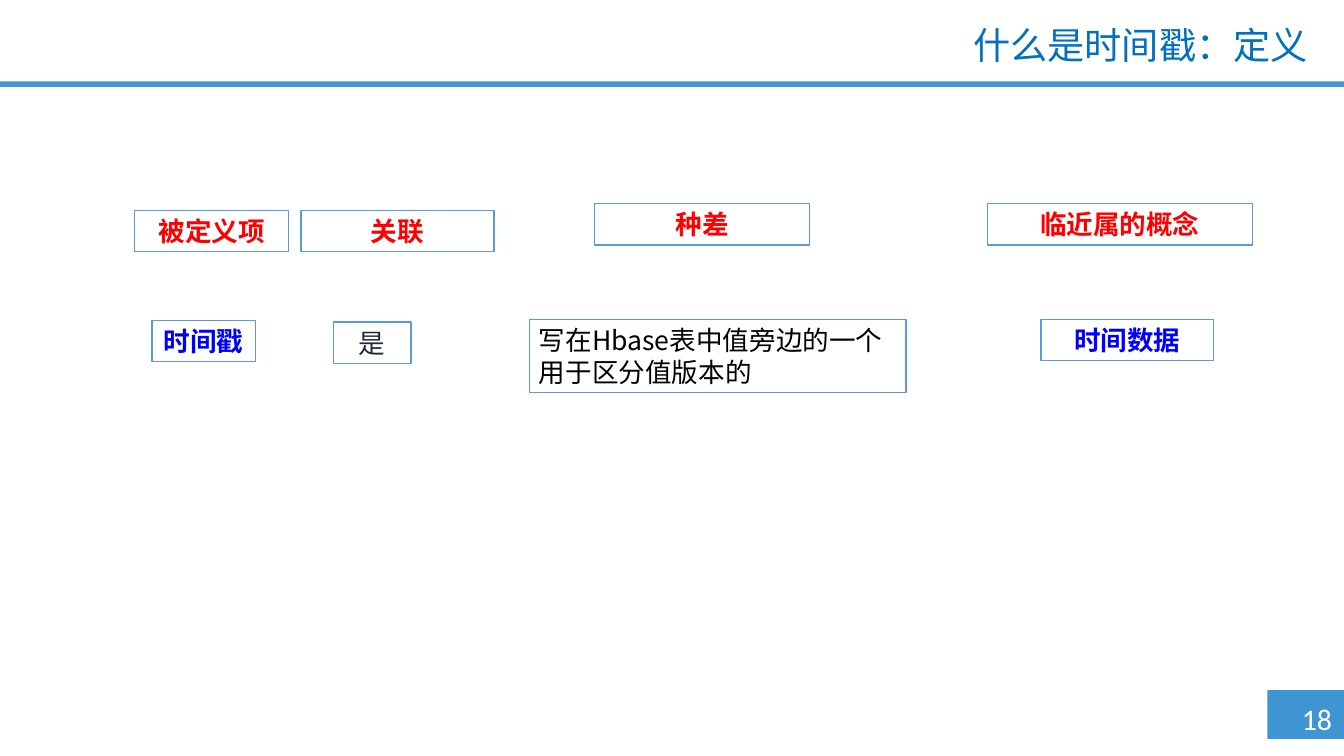
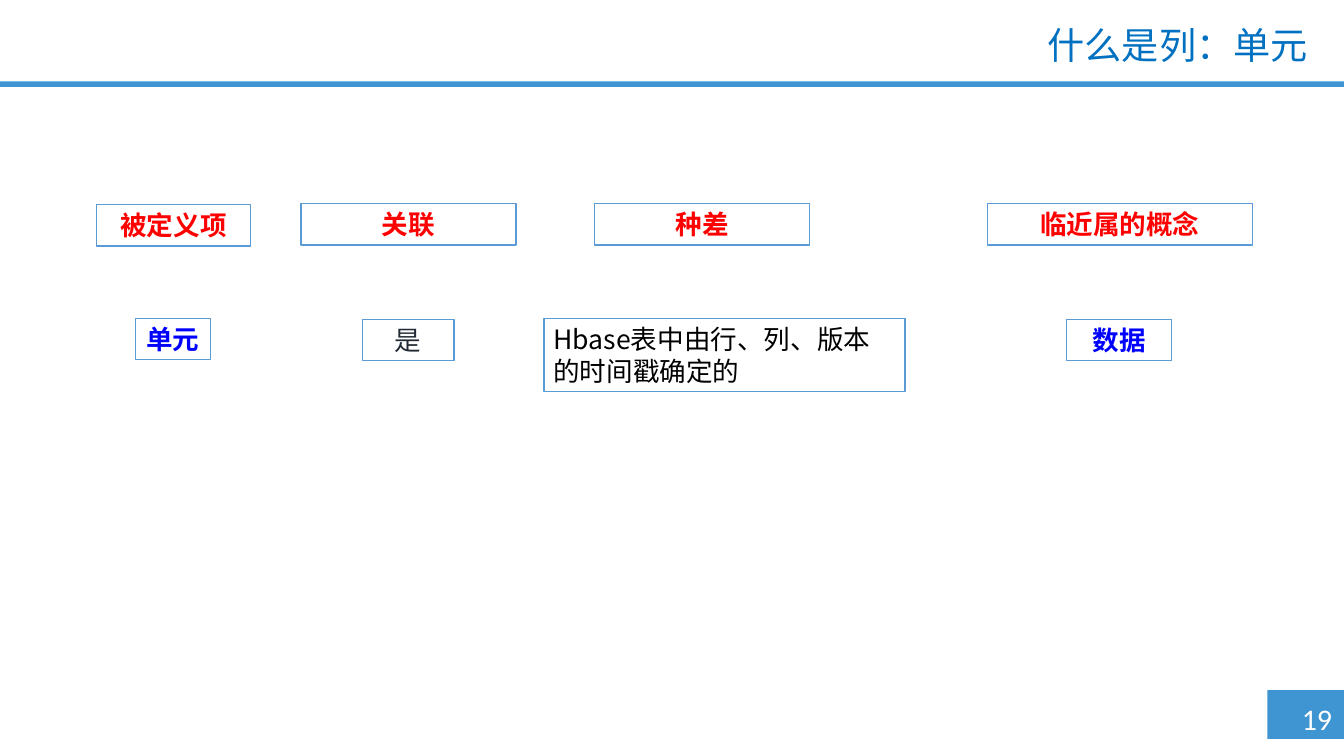
from lxml import etree
from pptx import Presentation
from pptx import util as u
from pptx.dml.color import RGBColor
from pptx.enum import shapes, text
from pptx.oxml.ns import qn

WIDTH, HEIGHT = u.Inches(14.06), u.Inches(7.91)
FIRST_NUMBER = 18
CJK_FONT, NUMBER_FONT = "Noto Sans CJK SC", "Calibri"
WHITE = RGBColor(0xFF, 0xFF, 0xFF)
BLACK = RGBColor(0, 0, 0)
BAND_BLUE = RGBColor(0x3F, 0x95, 0xD2)
FRAME_BLUE = RGBColor(0x5B, 0x9B, 0xD5)
TITLE_BLUE = RGBColor(0x00, 0x70, 0xC0)
HEADING_RED = RGBColor(0xFF, 0, 0)
TERM_BLUE = RGBColor(0, 0, 0xFF)
LINK_DARK = RGBColor(0x22, 0x2A, 0x35)

LINE_HEIGHT = u.Pt(24)
PADDING = u.Inches(0.05)

HEADINGS = ["被定义项", "关联", "种差", "临近属的概念"]
TERM_STYLES = [(TERM_BLUE, True), (LINK_DARK, False), (BLACK, False), (TERM_BLUE, True)]
LINE_COUNTS = [1, 1, 2, 1]

# Places are (left, top, width) in percent of the slide's size.
DEFINITIONS = [
    {
        "title": "什么是时间戳：定义",
        "heading_places": [(10.03, 27.81, 11.45), (22.4, 27.81, 14.37),
                           (44.24, 26.93, 16), (73.47, 26.93, 19.7)],
        "terms": ["时间戳", "是", "写在Hbase表中值旁边的一个用于区分值版本的", "时间数据"],
        "term_places": [(11.31, 42.35, 7.68), (24.82, 42.6, 5.76),
                        (39.4, 42.23, 28.02), (77.45, 42.23, 12.87)],
    },
    {
        "title": "什么是列：单元",
        "heading_places": [(7.18, 27.05, 11.45), (22.4, 26.93, 16),
                           (44.24, 26.93, 16), (73.47, 26.93, 19.7)],
        "terms": ["单元", "是", "Hbase表中由行、列、版本的时间戳确定的", "数据"],
        "term_places": [(10.1, 42.1, 5.55), (26.96, 42.23, 6.83),
                        (40.47, 42.1, 26.88), (79.37, 42.23, 7.82)],
    },
]


def across(percent):
    return round(WIDTH * percent / 100)


def down(percent):
    return round(HEIGHT * percent / 100)


def style(paragraph, size, color, bold=False, font=CJK_FONT):
    paragraph.font.size = u.Pt(size)
    paragraph.font.bold = bold
    paragraph.font.color.rgb = color
    paragraph.font.name = font
    defaults = paragraph._p.pPr.find(qn("a:defRPr"))
    etree.SubElement(defaults, qn("a:ea"), typeface=font)


def add_block(slide, left, top, width, height, fill, line=None):
    block = slide.shapes.add_shape(shapes.MSO_SHAPE.RECTANGLE, left, top, width, height)
    block.shadow.inherit = False
    block.fill.solid()
    block.fill.fore_color.rgb = fill
    if line is None:
        block.line.fill.background()
    else:
        block.line.color.rgb = line
        block.line.width = u.Pt(1)
    return block


def add_framed_text(slide, wording, place, color, bold, lines=1):
    left, top, width = place
    height = 2 * PADDING + lines * LINE_HEIGHT
    frame = add_block(slide, across(left), down(top), across(width), height, WHITE, FRAME_BLUE)
    frame.text_frame.word_wrap = True
    frame.text_frame.vertical_anchor = text.MSO_ANCHOR.MIDDLE
    paragraph = frame.text_frame.paragraphs[0]
    paragraph.text = wording
    paragraph.alignment = text.PP_ALIGN.CENTER if lines == 1 else text.PP_ALIGN.LEFT
    paragraph.line_spacing = LINE_HEIGHT
    style(paragraph, 20, color, bold)


def add_page_number(slide, number):
    box = slide.shapes.add_textbox(across(96.16), down(92.04), across(4.62), down(6.07))
    box.text_frame.word_wrap = False
    paragraph = box.text_frame.paragraphs[0]
    style(paragraph, 22.5, WHITE, font=NUMBER_FONT)
    field = etree.SubElement(paragraph._p, qn("a:fld"), type="slidenum",
                             id="{B6F15528-21DE-4FAA-801E-634DDDAF4B2B}")
    etree.SubElement(field, qn("a:rPr"), lang="zh-CN")
    etree.SubElement(field, qn("a:t")).text = str(number)


def set_title(slide, wording):
    title = slide.shapes.title
    title.left, title.top = across(67.35), down(2.78)
    title.width, title.height = across(30.65), down(7.21)
    title.text_frame.auto_size = text.MSO_AUTO_SIZE.NONE
    title.text_frame.vertical_anchor = text.MSO_ANCHOR.TOP
    paragraph = title.text_frame.paragraphs[0]
    paragraph.text = wording
    paragraph.alignment = text.PP_ALIGN.RIGHT
    paragraph.line_spacing = u.Pt(31)
    style(paragraph, 28, TITLE_BLUE)


def add_slide(prs, title, number):
    slide = prs.slides.add_slide(prs.slide_layouts.get_by_name("Title Only"))
    add_block(slide, across(94.31), down(91.28), across(5.69), down(6.45), BAND_BLUE)
    add_block(slide, 0, down(10.75), WIDTH, down(0.76), BAND_BLUE)
    add_page_number(slide, number)
    set_title(slide, title)
    return slide


def add_definition(slide, definition):
    for heading, place in zip(HEADINGS, definition["heading_places"]):
        add_framed_text(slide, heading, place, HEADING_RED, True)
    for term, place, (color, bold), lines in zip(
            definition["terms"], definition["term_places"], TERM_STYLES, LINE_COUNTS):
        add_framed_text(slide, term, place, color, bold, lines)


def main():
    prs = Presentation()
    prs.slide_width, prs.slide_height = WIDTH, HEIGHT
    prs.element.set("firstSlideNum", str(FIRST_NUMBER))
    for number, definition in enumerate(DEFINITIONS, FIRST_NUMBER):
        add_definition(add_slide(prs, definition["title"], number), definition)
    prs.save("out.pptx")


if __name__ == "__main__":
    main()
